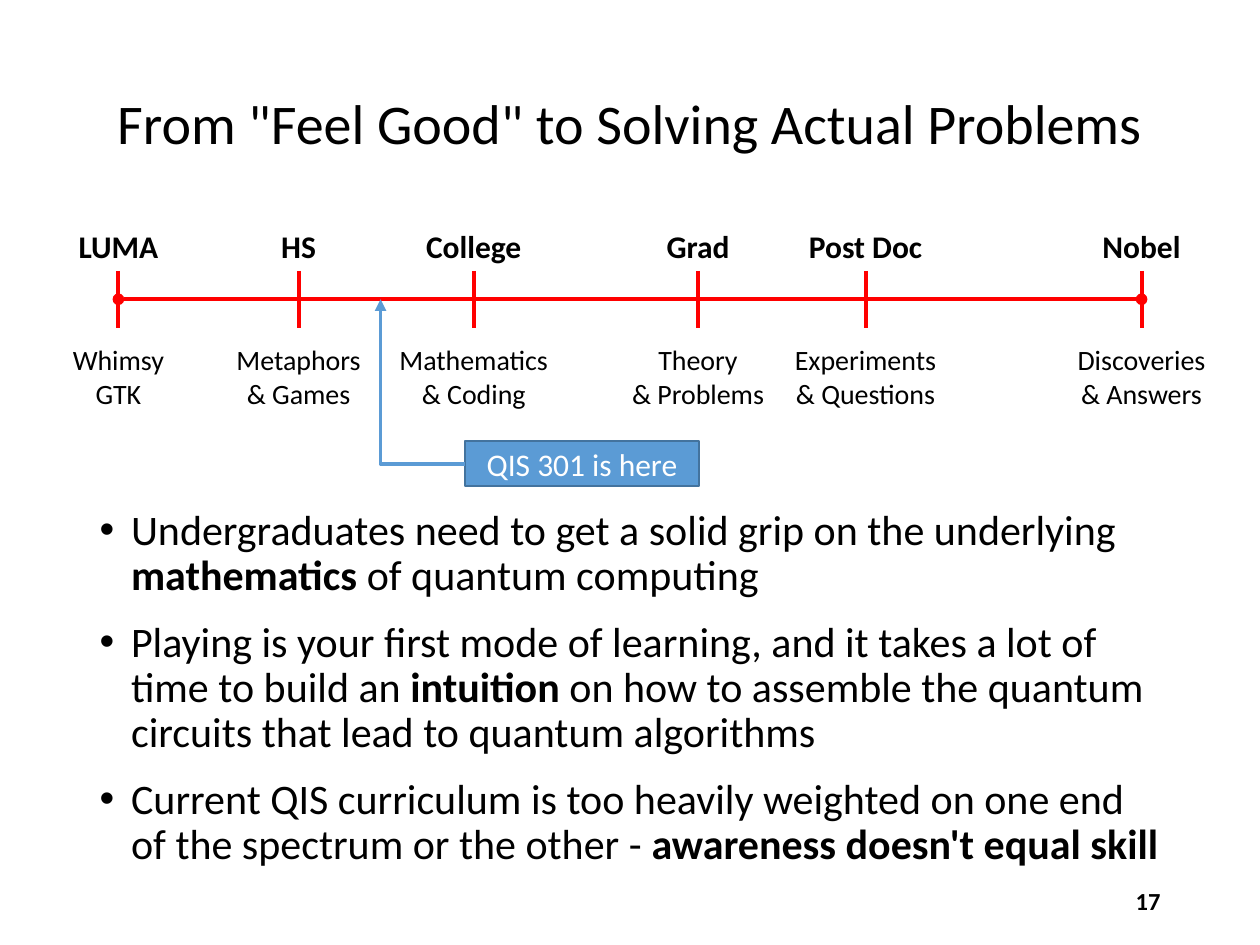
from lxml import etree
from pptx import Presentation, util as u
from pptx.dml.color import RGBColor
from pptx.enum import shapes, text
from pptx.oxml.ns import qn

BLACK = RGBColor(0x00, 0x00, 0x00)
WHITE = RGBColor(0xFF, 0xFF, 0xFF)
RED = RGBColor(0xFF, 0x00, 0x00)
BLUE = RGBColor(0x5B, 0x9B, 0xD5)
DARK_BLUE = RGBColor(0x43, 0x73, 0x9E)

WIDTH, HEIGHT = 10, 7.5
MARGIN = 0.69
CONTENT_WIDTH = WIDTH - 2 * MARGIN

MILESTONES = [
    (0.94, "LUMA", ["Whimsy", "GTK"], 1.3),
    (2.37, "HS", ["Metaphors & Games"], 1.3),
    (3.76, "College", ["Mathematics", "& Coding"], 1.41),
    (5.54, "Grad", ["Theory", "& Problems"], 1.3),
    (6.87, "Post Doc", ["Experiments", "& Questions"], 1.6),
    (9.06, "Nobel", ["Discoveries", "& Answers"], 1.43),
]

BULLETS = [
    [("Undergraduates need to get a solid grip on the underlying ", False),
     ("mathematics", True), (" of quantum computing", False)],
    [("Playing is your first mode of learning, and it takes a lot of time to build an ", False),
     ("intuition", True),
     (" on how to assemble the quantum circuits that lead to quantum algorithms", False)],
    [("Current QIS curriculum is too heavily weighted on one end of the spectrum or the other - ", False),
     ("awareness doesn't equal skill", True)],
]


def apply(target, values):
    for name, value in values.items():
        setattr(target, name, value)


def place(shape, box):
    names = ("left", "top", "width", "height")
    apply(shape, {name: u.Inches(value) for name, value in zip(names, box)})


def write(shape, paragraphs, size, color=BLACK, bold=False,
          align=text.PP_ALIGN.CENTER, anchor=text.MSO_ANCHOR.TOP, **spacing):
    frame = shape.text_frame
    apply(frame, {"word_wrap": True, "auto_size": text.MSO_AUTO_SIZE.NONE,
                  "vertical_anchor": anchor})
    for index, runs in enumerate(paragraphs):
        paragraph = frame.add_paragraph() if index else frame.paragraphs[0]
        apply(paragraph, {"alignment": align, "space_before": u.Pt(0), **spacing})
        for words, strong in ([(runs, bold)] if isinstance(runs, str) else runs):
            run = paragraph.add_run()
            run.text = words
            apply(run.font, {"name": "Calibri", "size": u.Pt(size), "bold": strong})
            run.font.color.rgb = color
    return frame


def add_text(slide, box, paragraphs, size, **style):
    shape = slide.shapes.add_textbox(*map(u.Inches, box))
    write(shape, paragraphs, size, **style)


def add_line(slide, start, end, color, kind=shapes.MSO_CONNECTOR.STRAIGHT, **ends):
    line = slide.shapes.add_connector(kind, *map(u.Inches, (*start, *end)))
    line.line.color.rgb = color
    line.line.width = u.Pt(2.25)
    outline = line.line._get_or_add_ln()
    for tag, head in ends.items():
        etree.SubElement(outline, qn(f"a:{tag}"), type=head)
    etree.SubElement(line._element.spPr, qn("a:effectLst"))
    return line


def build_title(slide, box):
    title = slide.shapes.title
    place(title, box)
    write(title, ['From "Feel Good" to Solving Actual Problems'], 32,
          anchor=text.MSO_ANCHOR.MIDDLE, line_spacing=0.9)


def build_timeline(slide, top):
    tick_top, tick_height, label_width = top + 0.4, 0.45, 1.1
    axis = tick_top + tick_height / 2
    add_line(slide, (MILESTONES[0][0], axis), (MILESTONES[-1][0], axis), RED,
             headEnd="oval", tailEnd="oval")
    for center, label, caption, caption_width in MILESTONES:
        add_line(slide, (center, tick_top), (center, tick_top + tick_height), RED)
        add_text(slide, (center - label_width / 2, top, label_width, 0.4),
                 [label], 18, bold=True)
        add_text(slide, (center - caption_width / 2, top + 0.92, caption_width, 0.64),
                 caption, 16)
    return axis


def build_callout(slide, box, target_x, target_y):
    left, top, width, height = box
    callout = slide.shapes.add_shape(shapes.MSO_SHAPE.RECTANGLE, *map(u.Inches, box))
    callout.shadow.inherit = False
    callout.fill.solid()
    callout.fill.fore_color.rgb = BLUE
    callout.line.color.rgb = DARK_BLUE
    callout.line.width = u.Pt(1)
    write(callout, ["QIS 301 is here"], 18, color=WHITE, anchor=text.MSO_ANCHOR.MIDDLE)
    arrow = add_line(slide, (target_x, target_y), (left, top + height / 2), BLUE,
                     shapes.MSO_CONNECTOR.ELBOW, tailEnd="triangle")
    properties = arrow._element.spPr
    properties.find(qn("a:prstGeom")).set("prst", "bentConnector2")
    properties.find(qn("a:xfrm")).set("rot", str(180 * 60000))


def build_bullets(slide, box):
    body = slide.placeholders[1]
    place(body, box)
    frame = write(body, BULLETS, 24, align=text.PP_ALIGN.LEFT,
                  line_spacing=0.9, space_after=u.Pt(12))
    for paragraph in frame.paragraphs:
        properties = paragraph._p.get_or_add_pPr()
        properties.set("marL", str(u.Inches(0.25)))
        properties.set("indent", str(-u.Inches(0.25)))
        etree.SubElement(properties, qn("a:buFont"), typeface="Arial")
        etree.SubElement(properties, qn("a:buChar"), char="•")


def main():
    presentation = Presentation()
    apply(presentation, {"slide_width": u.Inches(WIDTH), "slide_height": u.Inches(HEIGHT)})
    slide = presentation.slides.add_slide(presentation.slide_layouts[1])
    build_title(slide, (MARGIN, 0.4, CONTENT_WIDTH, 1.21))
    axis = build_timeline(slide, 1.75)
    build_bullets(slide, (MARGIN, 3.99, CONTENT_WIDTH, 2.96))
    build_callout(slide, (3.69, 3.5, 1.86, 0.36), 3.02, axis)
    add_text(slide, (WIDTH - MARGIN - 2.25, 6.95, 2.25, 0.4), ["17"], 14, bold=True,
             align=text.PP_ALIGN.RIGHT, anchor=text.MSO_ANCHOR.MIDDLE)
    presentation.save("out.pptx")


if __name__ == "__main__":
    main()
